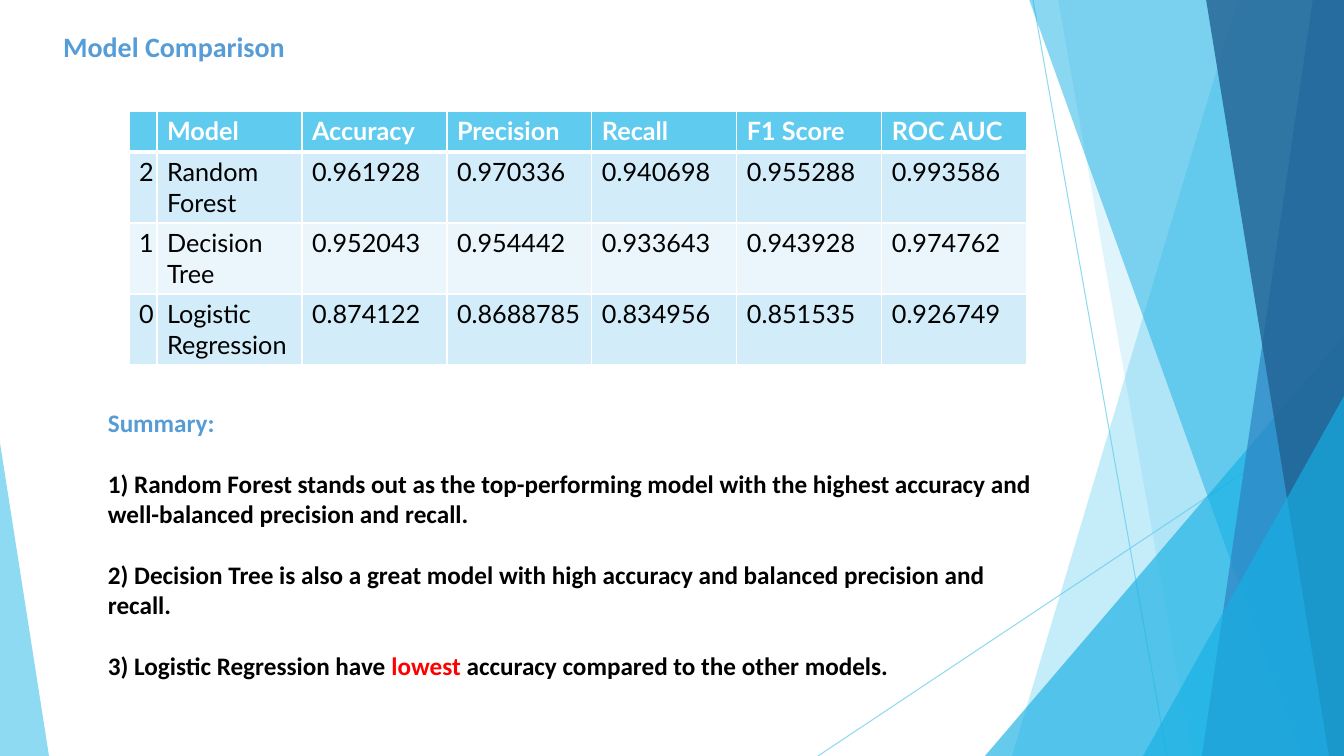
"""Build the model comparison slide with its table and summary."""
import lxml.etree
import pptx
import pptx.dml.color
import pptx.enum.shapes
import pptx.enum.text
import pptx.oxml.ns
import pptx.util

PX = 12192000 / 1344
WIDE, HIGH = 1344, 756
SKY, BLUE, WHITE, BLACK = "5FCBEF", "569CD6", "FFFFFF", "000000"
add = lxml.etree.SubElement
qn = pptx.oxml.ns.qn
pt = pptx.util.Pt


def paint(fill, hue):
    """Fill with a solid colour given as hex."""
    fill.solid()
    fill.fore_color.rgb = pptx.dml.color.RGBColor.from_string(hue)


def write(para, text, size=18, hue=BLACK, bold=True, face="Calibri"):
    """Add a formatted run to a paragraph."""
    run = para.add_run()
    run.text = text
    run.font.name, run.font.size, run.font.bold = face, pt(size), bold
    paint(run.font.fill, hue)


deck = pptx.Presentation()
deck.slide_width, deck.slide_height = round(WIDE * PX), round(HIGH * PX)
slide = deck.slides.add_slide(deck.slide_layouts[5])
shapes = slide.shapes
paint(slide.background.fill, WHITE)

facets = [
    ("line", (1033, 0, 1167, 756), SKY, 70),
    ("line", (1344, 406, 818, 756), SKY, 70),
    ("band", (1238, 1012), SKY, 36),
    ("band", (1058, 1192), SKY, 20),
    ("right", (985, 336, 359, 420), "17B0E4", 66),
    ("band", (1029, 1301), "17B0E4", 50),
    ("band", (1313, 1202), "2E83C3", 70),
    ("band", (1206, 1329), "226292", 80),
    ("right", (1143, 396, 201, 360), "17B0E4", 66),
    ("left", (0, 443, 49, 313), SKY, 70),
]
for kind, spots, hue, alpha in facets:
    box = [round(n * PX) for n in spots]
    if kind == "line":
        facet = shapes.add_connector(pptx.enum.shapes.MSO_CONNECTOR.STRAIGHT, *box)
        facet.line.width = pt(0.75)
        paint(facet.line.fill, hue)
        add(facet.element.spPr, qn("a:effectLst"))
    else:
        if kind == "band":
            top, foot = spots
            pen = shapes.build_freeform(top, -1, scale=PX)
            pen.add_line_segments([(WIDE, -1), (WIDE, HIGH), (foot, HIGH)])
            facet = pen.convert_to_shape()
        else:
            facet = shapes.add_shape(pptx.enum.shapes.MSO_SHAPE.ISOSCELES_TRIANGLE, *box)
            facet.adjustments[0] = 1 if kind == "right" else 0
        facet.shadow.inherit = False
        facet.line.fill.background()
        paint(facet.fill, hue)
    tone = facet.element.xpath(".//a:srgbClr")[0]
    add(tone, qn("a:alpha"), val=str(alpha * 1000))

title = shapes.title
title.left, title.top, title.width, title.height = [round(n * PX) for n in (53, 24, 948, 66)]
title.text_frame.vertical_anchor = pptx.enum.text.MSO_ANCHOR.TOP
title.text_frame.paragraphs[0].alignment = pptx.enum.text.PP_ALIGN.LEFT
write(title.text_frame.paragraphs[0], "Model Comparison", size=20, hue=BLUE)

rows = [
    ("", "Model", "Accuracy", "Precision", "Recall", "F1 Score", "ROC AUC"),
    ("2", "Random Forest", "0.961928", "0.970336", "0.940698", "0.955288", "0.993586"),
    ("1", "Decision Tree", "0.952043", "0.954442", "0.933643", "0.943928", "0.974762"),
    ("0", "Logistic Regression", "0.874122", "0.8688785", "0.834956", "0.851535", "0.926749"),
]
box = [round(n * PX) for n in (129, 111, 898, 254)]
table = shapes.add_table(len(rows), len(rows[0]), *box).table
for c, col in enumerate(table.columns):
    col.width = round((145 if c else 28) * PX)
for r, row in enumerate(rows):
    table.rows[r].height = round((71 if r else 41) * PX)
    for c, text in enumerate(row):
        cell = table.cell(r, c)
        for side in "LRTB":
            thick = (r, side) in [(0, "B"), (1, "T")]
            edge = add(cell._tc.get_or_add_tcPr(), qn("a:ln" + side), w=str(pt(3 if thick else 1)))
            add(add(edge, qn("a:solidFill")), qn("a:srgbClr"), val=WHITE)
        paint(cell.fill, (SKY, "D2ECF9", "EAF6FC", "D2ECF9")[r])
        if text:
            write(cell.text_frame.paragraphs[0], text, hue=BLACK if r else WHITE,
                  bold=r == 0, face="Lato")

notes = [
    [("Summary:", BLUE)],
    [("1) Random Forest stands out as the top-performing model with the highest accuracy "
      "and well-balanced precision and recall.", BLACK)],
    [("2) Decision Tree is also a great model with high accuracy and balanced precision "
      "and recall.", BLACK)],
    [("3) Logistic Regression have ", BLACK), ("lowest ", "FF0000"),
     ("accuracy compared to the other models.", BLACK)],
]
frame = shapes.add_textbox(*[round(n * PX) for n in (98, 402, 963, 285)]).text_frame
frame.word_wrap = True
for i, note in enumerate(notes):
    para = frame.add_paragraph() if i else frame.paragraphs[0]
    if i:
        para.space_before = pt(22)
    for text, hue in note:
        write(para, text, hue=hue)

deck.save("out.pptx")
